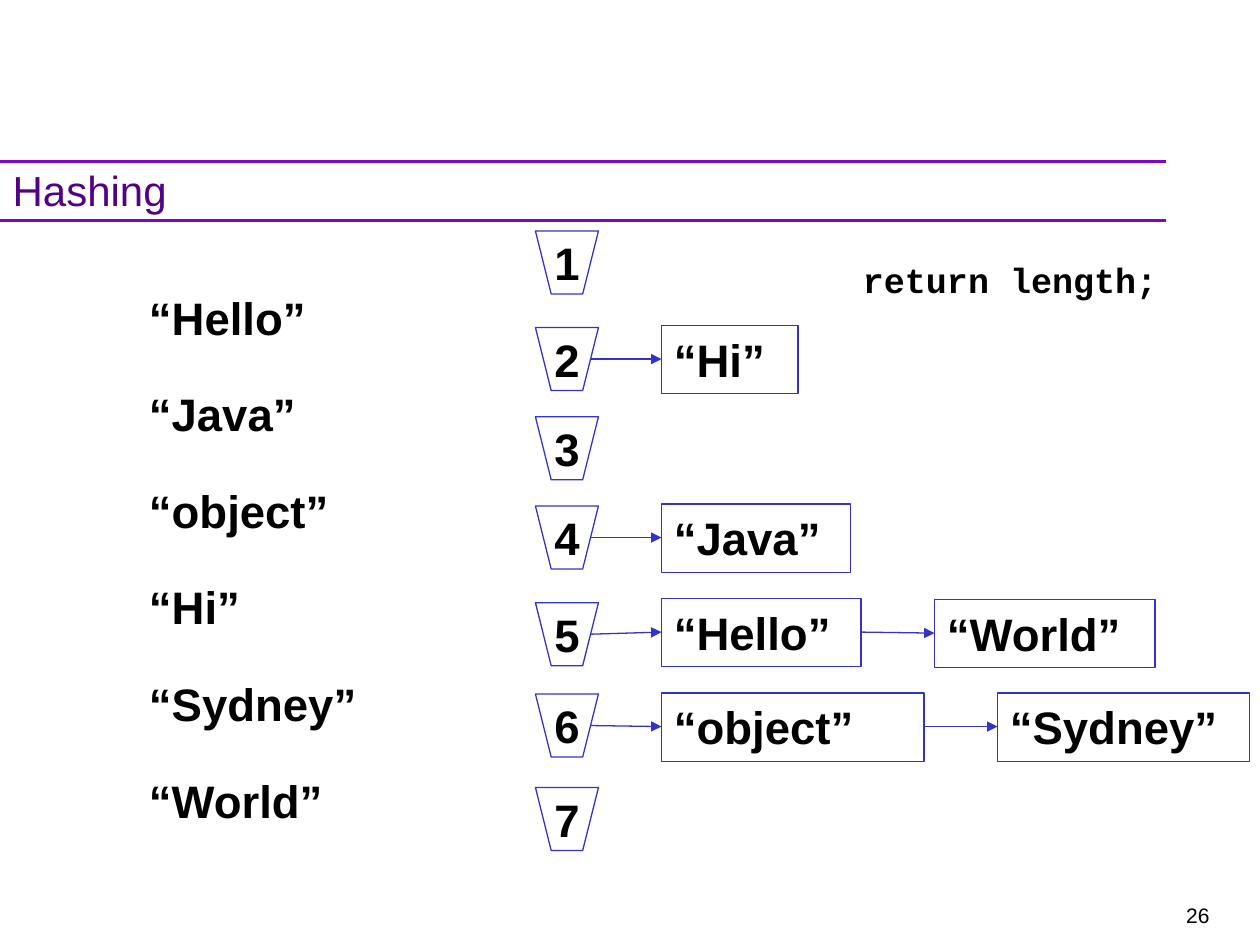
from lxml.etree import SubElement
from pptx import Presentation
from pptx.dml.color import RGBColor
from pptx.enum.shapes import MSO_CONNECTOR as Connector, MSO_SHAPE as Preset
from pptx.enum.text import MSO_ANCHOR as Anchor, MSO_AUTO_SIZE as AutoSize, PP_ALIGN as Align
from pptx.oxml.ns import qn
from pptx.util import Pt

PX = 7620  # EMU per px, 120 px to the inch

BLACK = RGBColor(0x00, 0x00, 0x00)
BLUE = RGBColor(0x33, 0x33, 0xCC)
PURPLE = RGBColor(0x7F, 0x04, 0xCA)
DARK_PURPLE = RGBColor(0x51, 0x03, 0x83)

TITLE_FONT = {"name": "Arial", "size": Pt(24), "bold": False}
WORD_FONT = {"name": "Arial", "size": Pt(26), "bold": True}
CODE_FONT = {"name": "Courier New", "size": Pt(20), "bold": True}
NUMBER_FONT = {"name": "Arial", "size": Pt(12), "bold": False}

WORDS = ["“Hello”", "“Java”", "“object”", "“Hi”", "“Sydney”", "“World”"]
WORD_TOP, WORD_STEP = 270, 92

# Bucket top, then the chain hanging off it: (word, box top, box width)
BUCKETS = [
    (220, []),
    (312, [("“Hi”", 310, 130)]),
    (397, []),
    (482, [("“Java”", 480, 180)]),
    (574, [("“Hello”", 570, 190), ("“World”", 571, 210)]),
    (661, [("“object”", 660, 250), ("“Sydney”", 660, 240)]),
    (750, []),
]
BUCKET_LEFT, BUCKET_SIZE, BUCKET_INSET = 510, 60, 15
ARROW_START = 563
CHAIN_LEFT, CHAIN_GAP, BOX_HEIGHT = 630, 70, 65


def px(*lengths):
    return [length * PX for length in lengths]


def write(shape, text, font, color=BLACK, align=Align.LEFT, **frame_format):
    frame = shape.text_frame
    settings = {"word_wrap": True, "vertical_anchor": Anchor.TOP, **frame_format}
    for name, value in settings.items():
        setattr(frame, name, value)
    frame.text = text
    paragraph = frame.paragraphs[0]
    paragraph.alignment = align
    run_font = paragraph.runs[0].font
    for name, value in font.items():
        setattr(run_font, name, value)
    run_font.color.rgb = color


def outline(shape):
    shape.shadow.inherit = False
    shape.fill.background()
    shape.line.color.rgb = BLUE
    shape.line.width = Pt(0.75)


def add_title(slide, text):
    title = slide.shapes.title
    title.left, title.top, title.width, title.height = px(0, 140, 1120, 90)
    write(title, text, TITLE_FONT, DARK_PURPLE,
          vertical_anchor=Anchor.MIDDLE, auto_size=AutoSize.NONE)
    title.text_frame.paragraphs[0].line_spacing = 0.8


def add_text(slide, text, box, font):
    write(slide.shapes.add_textbox(*px(*box)), text, font,
          auto_size=AutoSize.SHAPE_TO_FIT_TEXT)


def add_line(slide, start, end, color, width, arrow=False):
    line = slide.shapes.add_connector(Connector.STRAIGHT, *px(*start, *end))
    line.line.color.rgb = color
    line.line.width = Pt(width)
    if arrow:
        SubElement(line.line._get_or_add_ln(), qn("a:tailEnd"), type="triangle")
    SubElement(line._element.spPr, qn("a:effectLst"))


def add_bucket(slide, number, top):
    right, bottom = BUCKET_LEFT + BUCKET_SIZE, top + BUCKET_SIZE
    builder = slide.shapes.build_freeform(BUCKET_LEFT, top, scale=PX)
    builder.add_line_segments([
        (right, top),
        (right - BUCKET_INSET, bottom),
        (BUCKET_LEFT + BUCKET_INSET, bottom),
    ], close=True)
    bucket = builder.convert_to_shape()
    outline(bucket)
    write(bucket, str(number), WORD_FONT, align=Align.CENTER,
          word_wrap=False, vertical_anchor=Anchor.MIDDLE)


def add_chain(slide, bucket_top, chain):
    start = (ARROW_START, bucket_top + BUCKET_SIZE // 2)
    left = CHAIN_LEFT
    for word, top, width in chain:
        box = slide.shapes.add_shape(Preset.RECTANGLE, *px(left, top, width, BOX_HEIGHT))
        outline(box)
        write(box, word, WORD_FONT, auto_size=AutoSize.SHAPE_TO_FIT_TEXT)
        middle = top + BOX_HEIGHT // 2
        add_line(slide, start, (left, middle), BLUE, 0.75, arrow=True)
        start = (left + width, middle)
        left += width + CHAIN_GAP


def main():
    presentation = Presentation()
    presentation.slide_width, presentation.slide_height = px(1200, 900)
    slide = presentation.slides.add_slide(presentation.slide_layouts[5])

    # Title between two rules, and the page number
    for y in (154, 210):
        add_line(slide, (0, y), (1110, y), PURPLE, 2)
    add_title(slide, "Hashing")
    add_text(slide, "26", (1118, 854, 115, 36), NUMBER_FONT)

    # Words to be hashed, and the hash function
    for index, word in enumerate(WORDS):
        add_text(slide, word, (130, WORD_TOP + index * WORD_STEP, 330, BOX_HEIGHT), WORD_FONT)
    add_text(slide, "return length;", (810, 240, 330, 53), CODE_FONT)

    # Buckets with their chains
    for number, (top, chain) in enumerate(BUCKETS, start=1):
        add_bucket(slide, number, top)
        add_chain(slide, top, chain)

    presentation.save("out.pptx")


if __name__ == "__main__":
    main()
